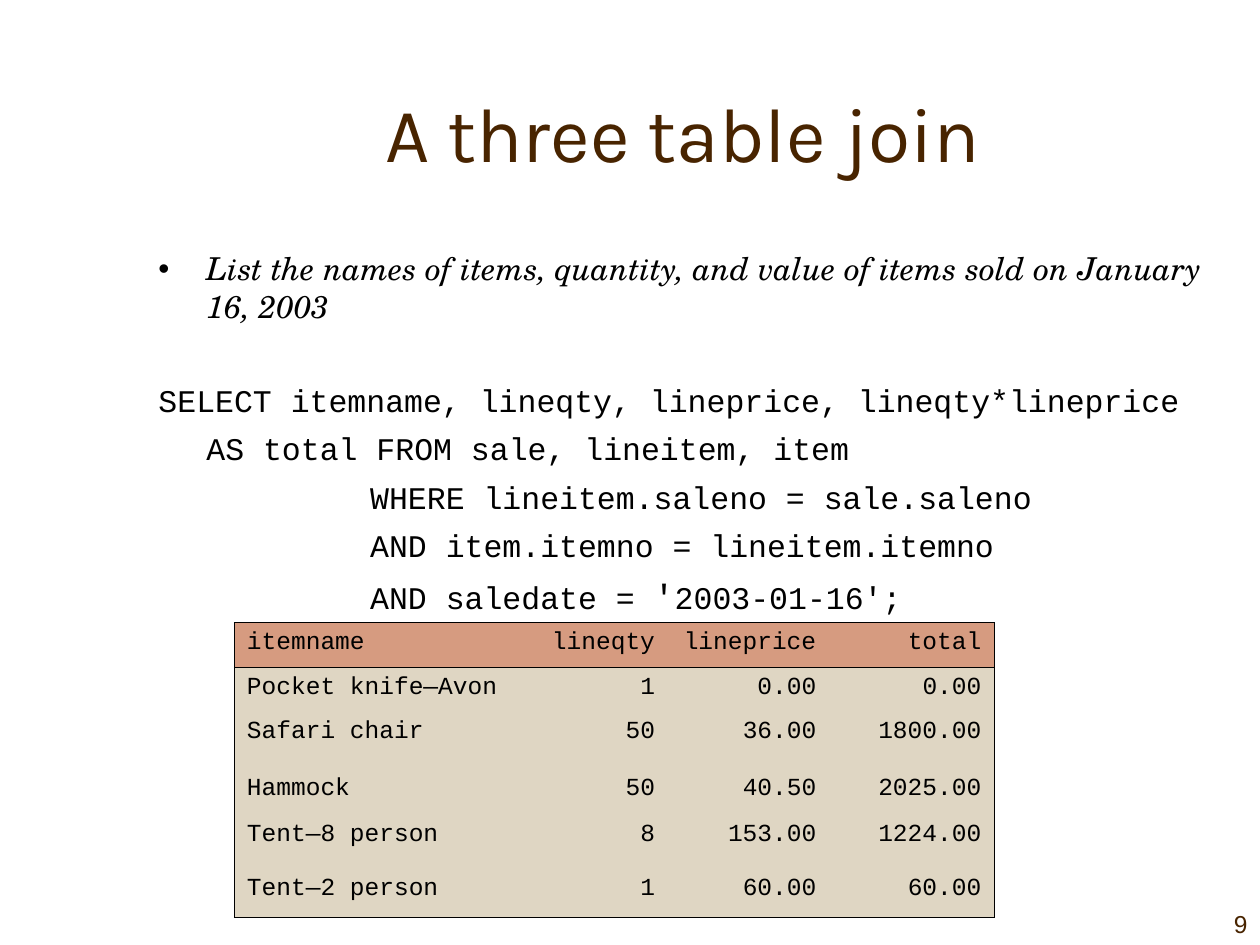
import pptx
import pptx.dml.color
import pptx.enum.text
import pptx.oxml.ns
import pptx.util
from lxml import etree

SLIDE_WIDTH = pptx.util.Inches(10)
SLIDE_HEIGHT = pptx.util.Inches(7.5)
ALIGN = pptx.enum.text.PP_ALIGN
ANCHOR = pptx.enum.text.MSO_ANCHOR

BLACK, BROWN = "000000", "482400"
HEADER_FILL, BODY_FILL = "D69B80", "DFD6C3"
CODE_FONT = "Courier New"
HANGING = 0.38
CONDITION_INDENT = 1.68

QUESTION = "List the names of items, quantity, and value of items sold on January 16, 2003"
# Each line: left indent, first-line indent, space before, runs of (text, size)
QUERY = [
    (HANGING, -HANGING, 32, [("SELECT itemname, lineqty, lineprice, lineqty*lineprice", 18)]),
    (HANGING, 0, 6, [("AS total FROM sale, lineitem, item", 18)]),
    (CONDITION_INDENT, 0, 6, [("WHERE lineitem.saleno = sale.saleno", 18)]),
    (CONDITION_INDENT, 0, 6, [("AND item.itemno = lineitem.itemno", 18)]),
    (CONDITION_INDENT, 0, 6, [("AND saledate = ", 18), ("'", 20), ("2003-01-16';", 18)]),
]

RESULT = [
    ("itemname", "lineqty", "lineprice", "total"),
    ("Pocket knife—Avon", "1", "0.00", "0.00"),
    ("Safari chair", "50", "36.00", "1800.00"),
    ("Hammock", "50", "40.50", "2025.00"),
    ("Tent—8 person", "8", "153.00", "1224.00"),
    ("Tent—2 person", "1", "60.00", "60.00"),
]
COLUMN_SHARES = [22.9, 11.5, 12.8, 13.1]
ROW_SHARES = [4.8, 4.67, 6, 4.93, 5.73, 5.07]


def across(percent):
    return round(SLIDE_WIDTH * percent / 100)


def down(percent):
    return round(SLIDE_HEIGHT * percent / 100)


def area(left, top, width, height):
    """Turn percentages of the slide into a position and size."""
    return across(left), down(top), across(width), down(height)


def rgb(value):
    return pptx.dml.color.RGBColor.from_string(value)


def style(run, name, size, color=BLACK, italic=False):
    font = run.font
    font.name, font.size = name, pptx.util.Pt(size)
    font.bold, font.italic = False, italic
    font.color.rgb = rgb(color)


def add_text_frame(slide, place, anchor=ANCHOR.TOP):
    frame = slide.shapes.add_textbox(*place).text_frame
    frame.word_wrap = True
    frame.vertical_anchor = anchor
    return frame


def add_label(slide, place, text, name, size, align, anchor):
    paragraph = add_text_frame(slide, place, anchor).paragraphs[0]
    paragraph.text = text
    paragraph.alignment = align
    style(paragraph.runs[0], name, size, BROWN)


def indent(paragraph, left, first):
    properties = paragraph._p.get_or_add_pPr()
    properties.set("marL", str(pptx.util.Inches(left)))
    properties.set("indent", str(pptx.util.Inches(first)))
    return properties


def add_question(frame):
    question = frame.paragraphs[0]
    question.text = QUESTION
    properties = indent(question, HANGING, -HANGING)
    bullet_font = etree.SubElement(properties, pptx.oxml.ns.qn("a:buFont"))
    bullet_font.set("typeface", "Arial")
    bullet = etree.SubElement(properties, pptx.oxml.ns.qn("a:buChar"))
    bullet.set("char", "•")
    style(question.runs[0], "TeX Gyre Schola", 18, italic=True)


def add_query(frame):
    for left, first, space, pieces in QUERY:
        line = frame.add_paragraph()
        indent(line, left, first)
        line.space_before = pptx.util.Pt(space)
        for text, size in pieces:
            run = line.add_run()
            run.text = text
            style(run, CODE_FONT, size)


def set_borders(cell, drawn):
    """Draw a thin black line on the named sides and none on the others."""
    properties = cell._tc.get_or_add_tcPr()
    for side in "LRTB":
        line = etree.SubElement(properties, pptx.oxml.ns.qn(f"a:ln{side}"))
        if side in drawn:
            line.set("w", str(pptx.util.Pt(0.45)))
            fill = etree.SubElement(line, pptx.oxml.ns.qn("a:solidFill"))
            etree.SubElement(fill, pptx.oxml.ns.qn("a:srgbClr")).set("val", BLACK)
        else:
            etree.SubElement(line, pptx.oxml.ns.qn("a:noFill"))


def bordered_sides(row, column):
    last_row, last_column = len(RESULT) - 1, len(COLUMN_SHARES) - 1
    rules = {
        "L": column == 0,
        "R": column == last_column,
        "T": row in (0, 1),
        "B": row in (0, last_row),
    }
    return [side for side, drawn in rules.items() if drawn]


def add_result(slide):
    place = area(18.6, 65.87, sum(COLUMN_SHARES), sum(ROW_SHARES))
    table = slide.shapes.add_table(len(RESULT), len(COLUMN_SHARES), *place).table
    table.first_row = table.horz_banding = False
    for column, share in zip(table.columns, COLUMN_SHARES):
        column.width = across(share)
    for row, share in zip(table.rows, ROW_SHARES):
        row.height = down(share)
    for r, record in enumerate(RESULT):
        for c, value in enumerate(record):
            cell = table.cell(r, c)
            set_borders(cell, bordered_sides(r, c))
            cell.fill.solid()
            cell.fill.fore_color.rgb = rgb(BODY_FILL if r else HEADER_FILL)
            paragraph = cell.text_frame.paragraphs[0]
            paragraph.text = value
            paragraph.alignment = ALIGN.RIGHT if c else ALIGN.LEFT
            style(paragraph.runs[0], CODE_FONT, 14)


def main():
    deck = pptx.Presentation()
    deck.slide_width, deck.slide_height = SLIDE_WIDTH, SLIDE_HEIGHT
    slide = deck.slides.add_slide(deck.slide_layouts[6])
    add_label(slide, area(11.7, 5.6, 85, 16.67), "A three table join",
              "Karla", 44, ALIGN.CENTER, ANCHOR.MIDDLE)
    body = add_text_frame(slide, area(11.6, 25.73, 85, 60))
    add_question(body)
    add_query(body)
    add_result(slide)
    add_label(slide, area(90.3, 93.33, 9.7, 6.67), "9",
              "Arial", 14, ALIGN.RIGHT, ANCHOR.BOTTOM)
    deck.save("out.pptx")


if __name__ == "__main__":
    main()
